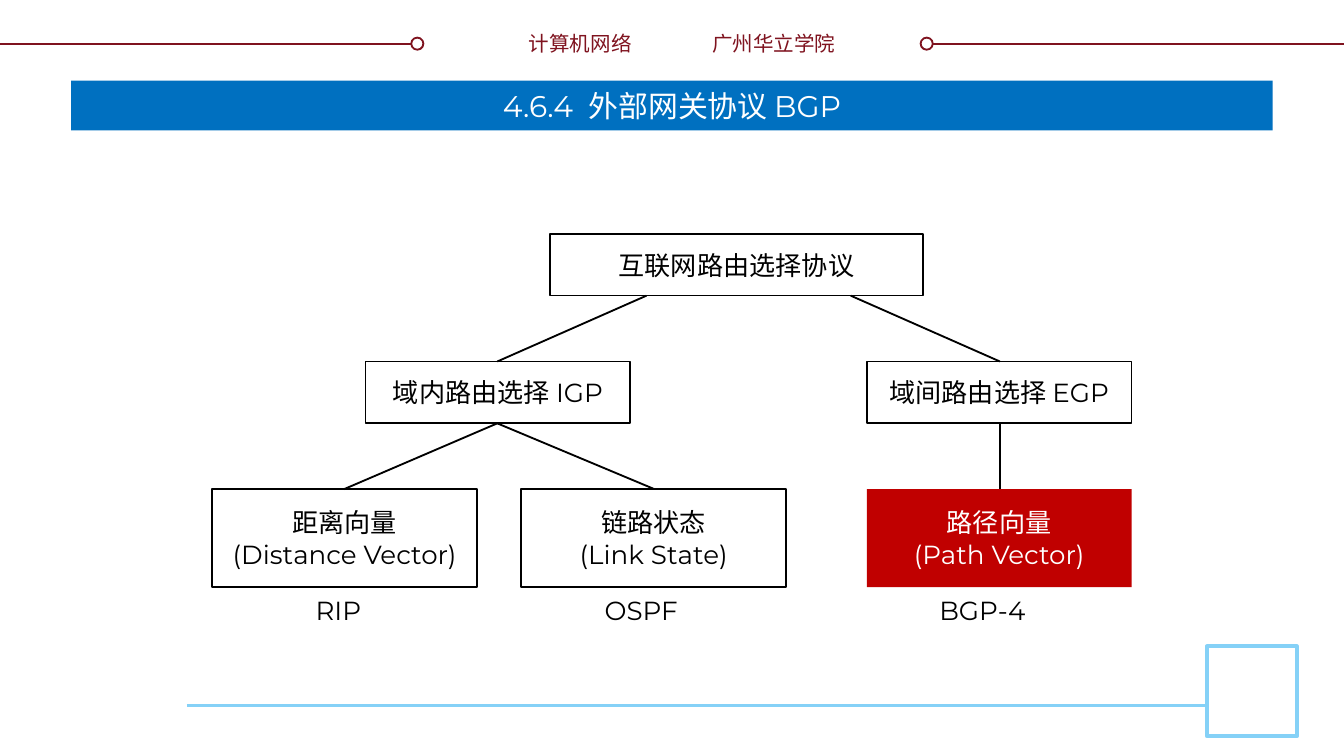
import pptx
import pptx.util
import pptx.dml.color
import pptx.enum.shapes
import pptx.enum.text
import pptx.oxml.ns
import lxml.etree

Inches = pptx.util.Inches
Pt = pptx.util.Pt
KIND = pptx.enum.shapes.MSO_SHAPE
ALIGN = pptx.enum.text.PP_ALIGN
qn = pptx.oxml.ns.qn

RED, BLUE, BLACK, WHITE = "7F131F", "85D1F7", "000000", "FFFFFF"
LATIN, HAN = "Montserrat", "Noto Sans CJK SC"

# Widescreen slide, 16 to 9
deck = pptx.Presentation()
deck.slide_width = Inches(10)
deck.slide_height = Inches(10 * 9 / 16)
slide = deck.slides.add_slide(deck.slide_layouts[6])
shapes = slide.shapes


def color(code):
    return pptx.dml.color.RGBColor.from_string(code)


def write(shape, rows, size, ink, face=LATIN, align=ALIGN.CENTER):
    frame = shape.text_frame
    for i, row in enumerate(rows):
        para = frame.paragraphs[0] if i == 0 else frame.add_paragraph()
        para.alignment = align
        run = para.add_run()
        run.text = row
        run.font.size = Pt(size)
        run.font.name = face
        run.font.color.rgb = color(ink)
        # East Asian typeface follows the Latin one
        east = lxml.etree.Element(qn("a:ea"), typeface=HAN)
        run.font._element.find(qn("a:latin")).addnext(east)


# Lines: x1, y1, x2, y2, color, width
lines = [
    (0, 0.33, 3.15, 0.33, RED, 1),
    (6.85, 0.33, 10, 0.33, RED, 1),
    (1.39, 5.25, 8.98, 5.25, BLUE, 1.5),
    (4.81, 2.2, 3.7, 2.69, BLACK, 1),
    (6.33, 2.2, 7.44, 2.69, BLACK, 1),
    (3.7, 3.15, 2.56, 3.64, BLACK, 1),
    (3.7, 3.15, 4.87, 3.64, BLACK, 1),
    (7.44, 3.15, 7.44, 3.64, BLACK, 1),
]
for x1, y1, x2, y2, ink, width in lines:
    line = shapes.add_connector(
        pptx.enum.shapes.MSO_CONNECTOR.STRAIGHT,
        Inches(x1), Inches(y1), Inches(x2), Inches(y2))
    line.line.color.rgb = color(ink)
    line.line.width = Pt(width)
    lxml.etree.SubElement(line._element.spPr, qn("a:effectLst"))

# Boxes: kind, left, top, width, height, fill, edge, edge width, rows, size, ink
RECT, OVAL = KIND.RECTANGLE, KIND.OVAL
WIDE, LOW, TALL = 1.97, 0.46, 0.73
boxes = [
    # Header rings, footer square and title bar
    (OVAL, 3.06, 0.28, 0.09, 0.09, WHITE, RED, 1, [], 0, RED),
    (OVAL, 6.85, 0.28, 0.09, 0.09, WHITE, RED, 1, [], 0, RED),
    (RECT, 8.98, 4.81, 0.67, 0.67, WHITE, BLUE, 2, [], 0, BLUE),
    (RECT, 0.53, 0.6, 8.94, 0.37, "0070C0", None, 0,
     ["4.6.4  外部网关协议 BGP"], 16, WHITE),
    # Protocol tree
    (RECT, 4.09, 1.74, 2.78, LOW, None, BLACK, 1,
     ["互联网路由选择协议"], 14, BLACK),
    (RECT, 2.72, 2.69, WIDE, LOW, None, BLACK, 1,
     ["域内路由选择 IGP"], 14, BLACK),
    (RECT, 6.45, 2.69, WIDE, LOW, None, BLACK, 1,
     ["域间路由选择 EGP"], 14, BLACK),
    (RECT, 1.58, 3.64, WIDE, TALL, None, BLACK, 1,
     ["距离向量", "(Distance Vector)"], 14, BLACK),
    (RECT, 3.88, 3.64, WIDE, TALL, WHITE, BLACK, 1,
     ["链路状态", "(Link State)"], 14, BLACK),
    (RECT, 6.45, 3.64, WIDE, TALL, "C00000", None, 0,
     ["路径向量", "(Path Vector)"], 14, WHITE),
]
for kind, x, y, w, h, fill, edge, width, rows, size, ink in boxes:
    box = shapes.add_shape(kind, Inches(x), Inches(y), Inches(w), Inches(h))
    box.shadow.inherit = False
    if fill:
        box.fill.solid()
        box.fill.fore_color.rgb = color(fill)
    else:
        box.fill.background()
    if edge:
        box.line.color.rgb = color(edge)
        box.line.width = Pt(width)
    else:
        box.line.fill.background()
    box.text_frame.vertical_anchor = pptx.enum.text.MSO_ANCHOR.MIDDLE
    write(box, rows, size, ink)

# Header names and protocol labels
labels = [
    (3.83, 0.18, 0.97, 0.29, "计算机网络", 11, RED, HAN, ALIGN.RIGHT),
    (5.2, 0.18, 1.16, 0.29, "广州华立学院", 11, RED, HAN, ALIGN.LEFT),
    (2.25, 4.37, 0.54, 0.34, "RIP", 14, BLACK, LATIN, ALIGN.LEFT),
    (4.4, 4.37, 0.75, 0.34, "OSPF", 14, BLACK, LATIN, ALIGN.LEFT),
    (6.89, 4.37, 0.85, 0.34, "BGP-4", 14, BLACK, LATIN, ALIGN.LEFT),
]
for x, y, w, h, text, size, ink, face, align in labels:
    label = shapes.add_textbox(Inches(x), Inches(y), Inches(w), Inches(h))
    label.text_frame.word_wrap = False
    write(label, [text], size, ink, face, align)

deck.save("out.pptx")
